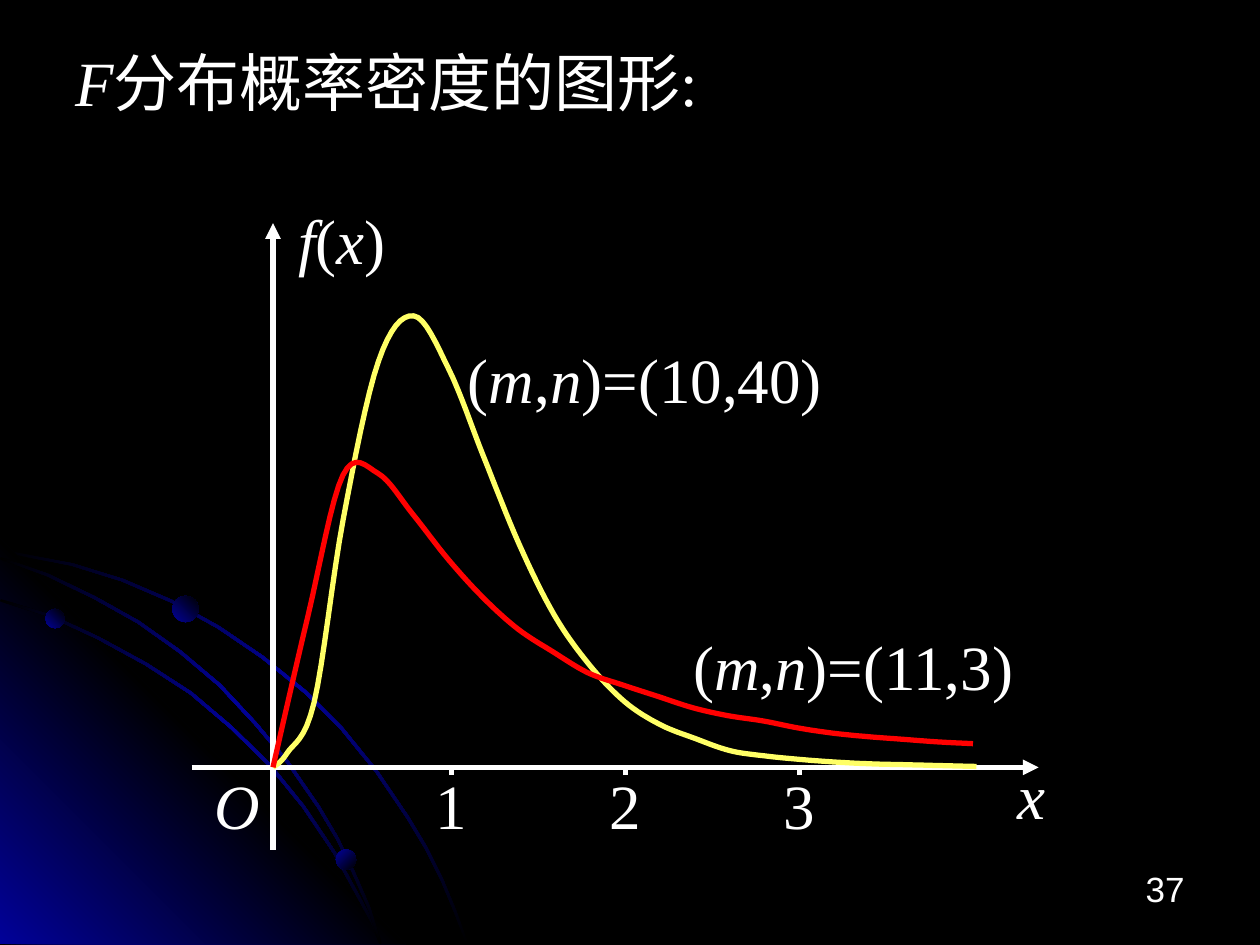
from copy import deepcopy
from dataclasses import dataclass
from pptx import Presentation
from pptx.dml.color import RGBColor
from pptx.enum.shapes import MSO_CONNECTOR, MSO_SHAPE
from pptx.enum.text import PP_ALIGN
from pptx.oxml.ns import qn
from pptx.oxml.xmlchemy import OxmlElement
from pptx.util import Pt


@dataclass(frozen=True)
class Theme:
    """Colours, fonts and sizes of the slide."""
    black: RGBColor = RGBColor(0, 0, 0)
    white: RGBColor = RGBColor(255, 255, 255)
    blue: RGBColor = RGBColor(1, 1, 0x99)
    yellow: RGBColor = RGBColor(255, 255, 0x66)
    red: RGBColor = RGBColor(255, 0, 0)
    serif: str = "Times New Roman"
    sans: str = "Arial"
    body: int = 36
    number: int = 20
    line: int = 3


T = Theme()

ARCS = [
    [(0, 7), (20, 11), (41, 15), (70, 24), (98, 36), (125, 51), (150, 68),
     (174, 87.5), (195.5, 109), (215, 133), (233, 159.5), (243.5, 177),
     (252.5, 195), (260, 213), (267, 232)],
    [(0, 35.5), (29, 44.5), (56, 57), (83.5, 72), (109, 88.5), (132, 108),
     (154, 129.5), (173.5, 153.5), (191, 179.5), (205.5, 206), (212.5, 219),
     (217.5, 232)],
    [(0, 11.5), (27, 21), (54, 34), (79, 48), (103, 65), (125.5, 84),
     (146, 106), (164, 127.5), (182, 153.5), (193, 172), (202.5, 192),
     (211, 211.5), (217.5, 232)],
]
DOTS = [(26, 40.5, 11, 315), (192, 178, 11.5, 45), (98.5, 33, 15, 315)]

YELLOW_HEIGHTS = [142, 232, 258, 227.5, 177, 127.5, 87, 58.5, 37.5, 24.5,
                  16.5, 9.5, 6.5, 4.5, 3, 2, 1.5, 1, 0.5]
RED_HEIGHTS = [0, 86.5, 167, 168, 144.5, 119, 97, 79, 66, 54, 47, 40.5, 34,
               29.5, 26.5, 22.5, 19.5, 17.5, 16, 14.5, 13.5]
YELLOW_KNOTS = [(0, 0), (8, 8), (23.5, 37)] + [
    (20.1 * i, h) for i, h in enumerate(YELLOW_HEIGHTS, 2)]
RED_KNOTS = [(20 * i, h) for i, h in enumerate(RED_HEIGHTS)]


def add_outline(slide, points, close):
    """Build a freeform through points given in points of length."""
    pts = [(Pt(x), Pt(y)) for x, y in points]
    fb = slide.shapes.build_freeform(*pts[0])
    fb.add_line_segments(pts[1:], close=close)
    s = fb.convert_to_shape()
    s.shadow.inherit = False
    return s


def fill_gradient(s, colors, angle):
    """Fill a shape with evenly spaced colours at a clockwise angle."""
    s.line.fill.background()
    s.fill.gradient()
    s.fill.gradient_angle = 360 - angle
    stops = s._element.spPr.find(".//" + qn("a:gsLst"))
    for _ in colors[2:]:
        stops.append(deepcopy(stops[-1]))
    for i, (stop, color) in enumerate(zip(s.fill.gradient_stops, colors)):
        stop.position = i / (len(colors) - 1)
        stop.color.rgb = color


def add_text(slide, box, runs, align=PP_ALIGN.CENTER, font=T.serif, size=T.body):
    """Add one line of text from runs, with asterisks marking italic ones."""
    tf = slide.shapes.add_textbox(*map(Pt, box)).text_frame
    tf.word_wrap = True
    p = tf.paragraphs[0]
    p.alignment = align
    for i, part in enumerate(runs.split("*")):
        if part:
            r = p.add_run()
            r.text = part
            r.font.name = font
            r.font.size = Pt(size)
            r.font.italic = i % 2 == 1
            r.font.color.rgb = T.white


def add_line(slide, start, end, arrow=False):
    """Draw a white straight line, with an arrowhead at its end if asked."""
    s = slide.shapes.add_connector(MSO_CONNECTOR.STRAIGHT, *map(Pt, start + end))
    s.line.color.rgb = T.white
    s.line.width = Pt(T.line)
    if arrow:
        head = OxmlElement("a:tailEnd")
        head.set("type", "triangle")
        s.line._get_or_add_ln().append(head)
    s._element.spPr.append(OxmlElement("a:effectLst"))


def smooth(knots, steps=8):
    """Return points of a Catmull-Rom spline through the knots."""
    ext = [knots[0], *knots, knots[-1]]
    pts = [knots[0]]
    for quad in zip(ext, ext[1:], ext[2:], ext[3:]):
        for k in range(1, steps + 1):
            t = k / steps
            pts.append(tuple(
                b + t / 2 * (c - a + t * (2 * a - 5 * b + 4 * c - d
                                          + t * (3 * b - a - 3 * c + d)))
                for a, b, c, d in zip(*quad)))
    return pts


def add_corner_art(slide, left, top, width, height):
    """Place the glowing corner with its arcs and dots."""
    def add_band(arc, half=0.6):
        sides = [[(left + max(0, x + d), top + min(height, y - d)) for x, y in arc]
                 for d in (-half, half)]
        s = add_outline(slide, sides[0] + sides[1][::-1], True)
        fill_gradient(s, [T.black, T.blue, T.black], 45)

    add_band(ARCS[0])
    corner = [(left, top), (left, top + height), (left + width, top + height)]
    fill_gradient(add_outline(slide, corner, True), [T.blue, T.black, T.blue], 315)
    for arc in ARCS[1:]:
        add_band(arc)
    for x, y, size, angle in DOTS:
        s = slide.shapes.add_shape(MSO_SHAPE.OVAL, Pt(left + x), Pt(top + y),
                                   Pt(size), Pt(size))
        s.shadow.inherit = False
        fill_gradient(s, [T.blue, T.black], angle)


def add_plot(slide, left, top, width, height):
    """Place axes, ticks, density curves and labels."""
    ox, oy = left + 46.5, top + 311
    add_line(slide, (left, oy), (left + width, oy), True)
    add_line(slide, (ox, top + height), (ox, top), True)
    for i in range(3):
        x = ox + 102 + 99.5 * i
        add_line(slide, (x, oy + 4.5), (x, oy))
        add_text(slide, (x - 25.5, oy - 4, 51, 50), str(i + 1))
    for knots, color in ((YELLOW_KNOTS, T.yellow), (RED_KNOTS, T.red)):
        s = add_outline(slide, [(ox + x, oy - y) for x, y in smooth(knots)], False)
        s.fill.background()
        s.line.color.rgb = color
        s.line.width = Pt(T.line)
    for x, y, w, text in (
            (-57, -4, 73, "*O*"),
            (408, -10, 51, "*x*"),
            (-11.5, -327, 102, "*f*(*x*)"),
            (102, -247.5, 221, "(*m*,*n*)=(10,40)"),
            (221, -83.5, 221, "(*m*,*n*)=(11,3)")):
        add_text(slide, (ox + x, oy + y, w, 50), text)


def main():
    """Build the slide and save it."""
    prs = Presentation()
    prs.slide_width, prs.slide_height = Pt(720), Pt(540)
    slide = prs.slides.add_slide(prs.slide_layouts[6])
    slide.background.fill.solid()
    slide.background.fill.fore_color.rgb = T.black
    add_corner_art(slide, 0, 307.5, 232, 232)
    add_text(slide, (516, 492, 168, 36), "37", PP_ALIGN.RIGHT, T.sans, T.number)
    add_plot(slide, 109.5, 127.5, 484, 358)
    add_text(slide, (36, 21.5, 648, 90), "*F*分布概率密度的图形:", PP_ALIGN.LEFT)
    prs.save("out.pptx")


if __name__ == "__main__":
    main()
